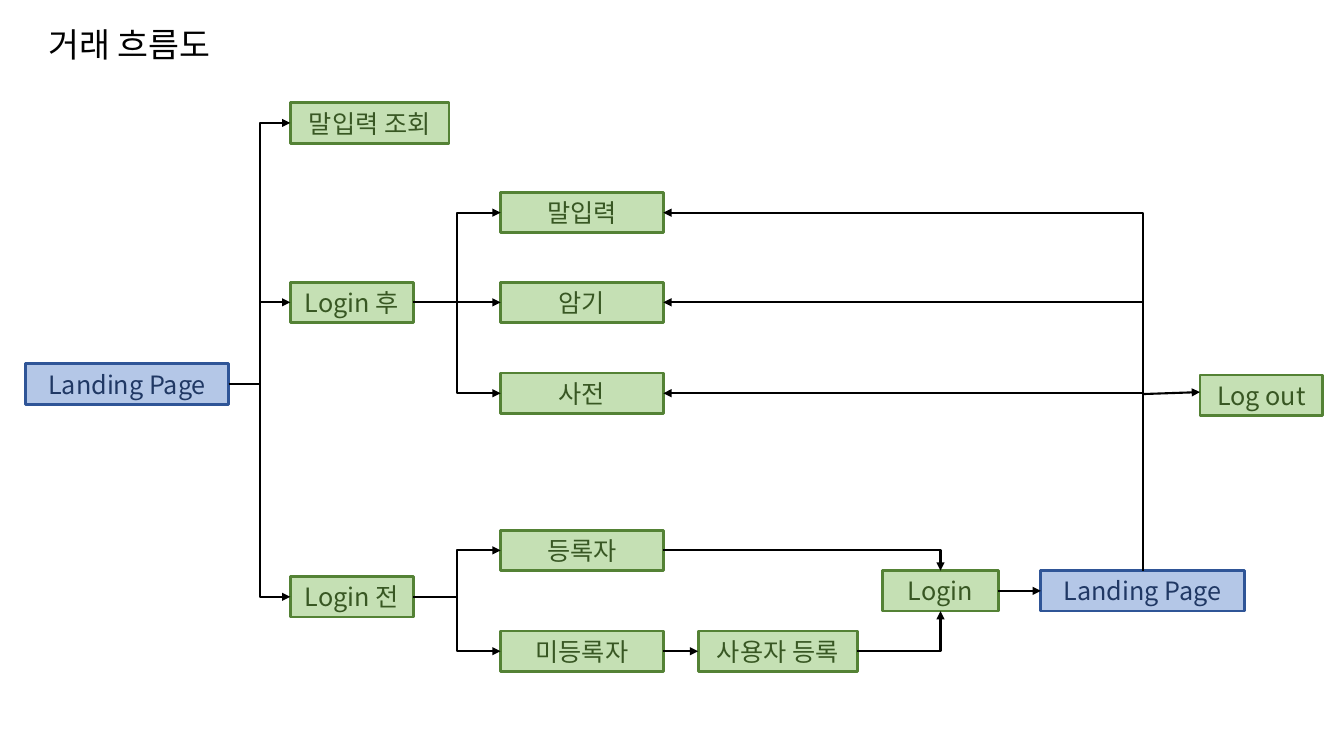
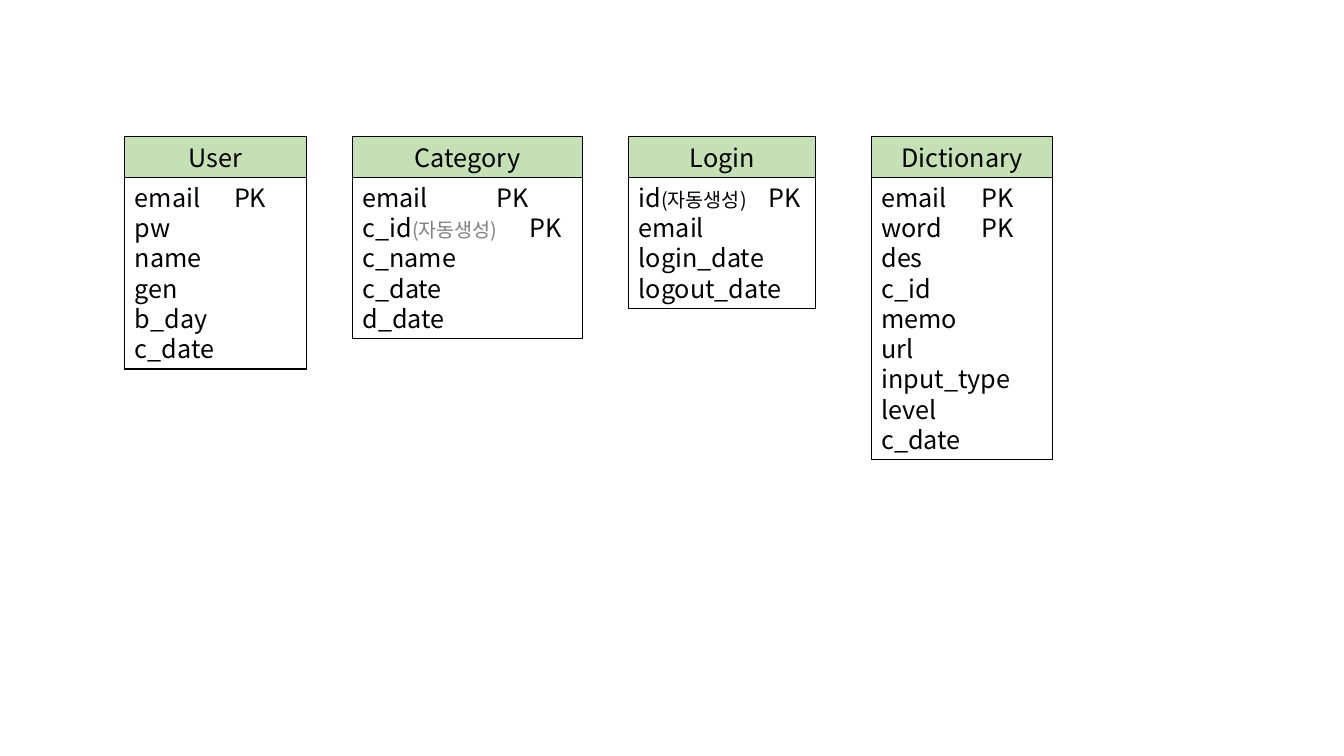
import dataclasses

import pptx
import pptx.dml.color
import pptx.enum.shapes
import pptx.enum.text
import pptx.oxml
import pptx.oxml.ns
import pptx.util
from lxml import etree

Cm = pptx.util.Cm
Pt = pptx.util.Pt
qn = pptx.oxml.ns.qn
Connector = pptx.enum.shapes.MSO_CONNECTOR
Anchor = pptx.enum.text.MSO_ANCHOR
Align = pptx.enum.text.PP_ALIGN


@dataclasses.dataclass(frozen=True)
class Theme:
    font: str = "Noto Sans CJK KR"
    title_size: float = 24
    body_size: float = 18
    note_size: float = 14
    ink: str = "000000"
    grey: str = "7F7F7F"
    green: str = "C5E0B4"
    green_line: str = "548235"
    green_ink: str = "385723"
    blue: str = "B4C7E7"
    blue_line: str = "2F5597"
    blue_ink: str = "203864"
    node_line: float = 2
    table_line: float = 0.75
    arrow_line: float = 1.5
    row_height: float = 1.02


THEME = Theme()
GREEN = (THEME.green, THEME.green_line, THEME.green_ink)
BLUE = (THEME.blue, THEME.blue_line, THEME.blue_ink)
SITES = {"top": 0, "left": 1, "bottom": 2, "right": 3}

# Flow chart: name -> text, left, top, width (cm), colours
NODES = {
    "lookup": ("말입력 조회", 7.32, 2.59, 4, GREEN),
    "start": ("Landing Page", 0.64, 9.17, 5.13, BLUE),
    "logout": ("Log out", 30.25, 9.45, 3.1, GREEN),
    "after": ("Login 후", 7.32, 7.11, 3.1, GREEN),
    "before": ("Login 전", 7.32, 14.53, 3.1, GREEN),
    "input": ("말입력", 12.62, 4.85, 4.1, GREEN),
    "memorize": ("암기", 12.62, 7.11, 4.1, GREEN),
    "dictionary": ("사전", 12.62, 9.4, 4.1, GREEN),
    "member": ("등록자", 12.62, 13.36, 4.1, GREEN),
    "guest": ("미등록자", 12.62, 15.9, 4.1, GREEN),
    "register": ("사용자 등록", 17.6, 15.9, 4.01, GREEN),
    "login": ("Login", 22.25, 14.38, 2.92, GREEN),
    "landing": ("Landing Page", 26.24, 14.38, 5.13, BLUE),
}
BRANCHES = {
    "start": ("lookup", "after", "before"),
    "after": ("input", "dictionary"),
    "before": ("member", "guest"),
}
STRAIGHT = (("after", "memorize"), ("guest", "register"), ("login", "landing"))
# Single-bend links: source, target, side of the target, end with the arrow
CORNERS = (
    ("member", "login", "top", "tail"),
    ("register", "login", "bottom", "tail"),
    ("input", "landing", "top", "head"),
    ("memorize", "landing", "top", "head"),
    ("dictionary", "landing", "top", "head"),
)

# Tables: heading, left, width, height of fields, key tab stop, fields (cm).
# A field is its name, or (name, note, note colour); keys counts the leading
# fields that are marked as primary key, each with its own tab stop.
NOTE = "(자동생성)"
TABLES = (
    ("User", 3.15, 4.57, 4.83, (2.5,),
     ("email", "pw", "name", "gen", "b_day", "c_date")),
    ("Category", 8.89, 5.79, 4.06, (3.37, 4.2),
     ("email", ("c_id", NOTE, THEME.grey), "c_name", "c_date", "d_date")),
    ("Login", 15.85, 4.72, 3.3, (3.27,),
     (("id", NOTE, THEME.ink), "email", "login_date", "logout_date")),
    ("Dictionary", 21.97, 4.57, 7.11, (2.52, 2.52),
     ("email", "word", "des", "c_id", "memo", "url", "input_type", "level",
      "c_date")),
)
TABLE_TOP = 3.45


def rgb(code):
    return pptx.dml.color.RGBColor.from_string(code)


def style_para(para, size, colour, align=Align.LEFT):
    """Set the font of a paragraph, for Latin and Korean letters."""
    para.alignment = align
    para.font.size = Pt(size)
    para.font.color.rgb = rgb(colour)
    para.font.name = THEME.font
    defaults = para._p.get_or_add_pPr().find(qn("a:defRPr"))
    etree.SubElement(defaults, qn("a:ea"), typeface=THEME.font)


def add_box(page, left, top, width, height, fill, line, weight):
    box = page.shapes.add_shape(
        pptx.enum.shapes.MSO_SHAPE.RECTANGLE,
        Cm(left), Cm(top), Cm(width), Cm(height))
    box.shadow.inherit = False
    if fill:
        box.fill.solid()
        box.fill.fore_color.rgb = rgb(fill)
    else:
        box.fill.background()
    box.line.color.rgb = rgb(line)
    box.line.width = Pt(weight)
    return box


def add_label_box(page, text, left, top, width, colours, weight):
    """A one-line box with centred text."""
    fill, line, ink = colours
    box = add_box(page, left, top, width, THEME.row_height, fill, line, weight)
    box.text_frame.word_wrap = False
    para = box.text_frame.paragraphs[0]
    para.text = text
    style_para(para, THEME.body_size, ink, Align.CENTER)
    return box


def style_arrow(arrow, end="tail"):
    arrow.line.color.rgb = rgb(THEME.ink)
    arrow.line.width = Pt(THEME.arrow_line)
    line = arrow.line._get_or_add_ln()
    etree.SubElement(line, qn(f"a:{end}End"), type="triangle")
    etree.SubElement(arrow._element.spPr, qn("a:effectLst"))


def link(page, source, target, kind, side="left", end="tail"):
    """Join the right side of one box to a side of another."""
    arrow = page.shapes.add_connector(kind, 0, 0, 0, 0)
    arrow.begin_connect(source, SITES["right"])
    arrow.end_connect(target, SITES[side])
    style_arrow(arrow, end)
    return arrow


def add_title(page, text, left, top, width, height):
    title = page.shapes.title
    title.left, title.top = Cm(left), Cm(top)
    title.width, title.height = Cm(width), Cm(height)
    frame = title.text_frame
    frame.word_wrap = True
    frame.auto_size = pptx.enum.text.MSO_AUTO_SIZE.NONE
    frame.vertical_anchor = Anchor.MIDDLE
    para = frame.paragraphs[0]
    para.text = text
    style_para(para, THEME.title_size, THEME.ink)


def add_flow(page):
    boxes = {
        name: add_label_box(page, *node, THEME.node_line)
        for name, node in NODES.items()
    }
    # Branches and straight steps
    for source, targets in BRANCHES.items():
        for target in targets:
            link(page, boxes[source], boxes[target], Connector.ELBOW)
    for source, target in STRAIGHT:
        link(page, boxes[source], boxes[target], Connector.STRAIGHT)
    # Links with one corner
    for source, target, side, end in CORNERS:
        arrow = link(page, boxes[source], boxes[target], Connector.ELBOW,
                     side, end)
        arrow._element.spPr.find(qn("a:prstGeom")).set("prst", "bentConnector2")
    # Way out from the shared trunk
    way_out = page.shapes.add_connector(
        Connector.STRAIGHT, Cm(28.8), Cm(9.93), Cm(30.25), Cm(9.88))
    style_arrow(way_out)


def add_field(para, field, key_stop):
    name, note, note_colour = (field, "", "") if isinstance(field, str) else field
    if key_stop:
        tabs = etree.SubElement(para._p.get_or_add_pPr(), qn("a:tabLst"))
        etree.SubElement(tabs, qn("a:tab"), pos=str(Cm(key_stop)), algn="l")
    style_para(para, THEME.body_size, THEME.ink)
    para.add_run().text = name
    if note:
        span = para.add_run()
        span.text = note
        span.font.size = Pt(THEME.note_size)
        span.font.color.rgb = rgb(note_colour)
    if key_stop:
        para.add_run().text = "\tPK"


def add_entity(page, heading, left, top, width, height, key_stops, fields):
    """A heading box above a box that lists the fields."""
    body = add_box(page, left, top + THEME.row_height, width, height,
                   None, THEME.ink, THEME.table_line)
    frame = body.text_frame
    frame.word_wrap = True
    frame.vertical_anchor = Anchor.TOP
    for index, field in enumerate(fields):
        para = frame.add_paragraph() if index else frame.paragraphs[0]
        add_field(para, field, key_stops[index] if index < len(key_stops) else None)
    add_label_box(page, heading, left, top, width,
                  (THEME.green, THEME.ink, THEME.ink), THEME.table_line)


def build_flow_slide(deck):
    page = deck.slides.add_slide(deck.slide_layouts[5])
    add_title(page, "거래 흐름도", 0.97, 0.48, 5.97, 1.27)
    add_flow(page)


def build_table_slide(deck):
    page = deck.slides.add_slide(deck.slide_layouts[6])
    for heading, left, width, height, key_stops, fields in TABLES:
        add_entity(page, heading, left, TABLE_TOP, width, height, key_stops, fields)


def main():
    deck = pptx.Presentation()
    deck.slide_width, deck.slide_height = Cm(33.88), Cm(19.05)
    build_flow_slide(deck)
    build_table_slide(deck)
    deck.save("out.pptx")


if __name__ == "__main__":
    main()
